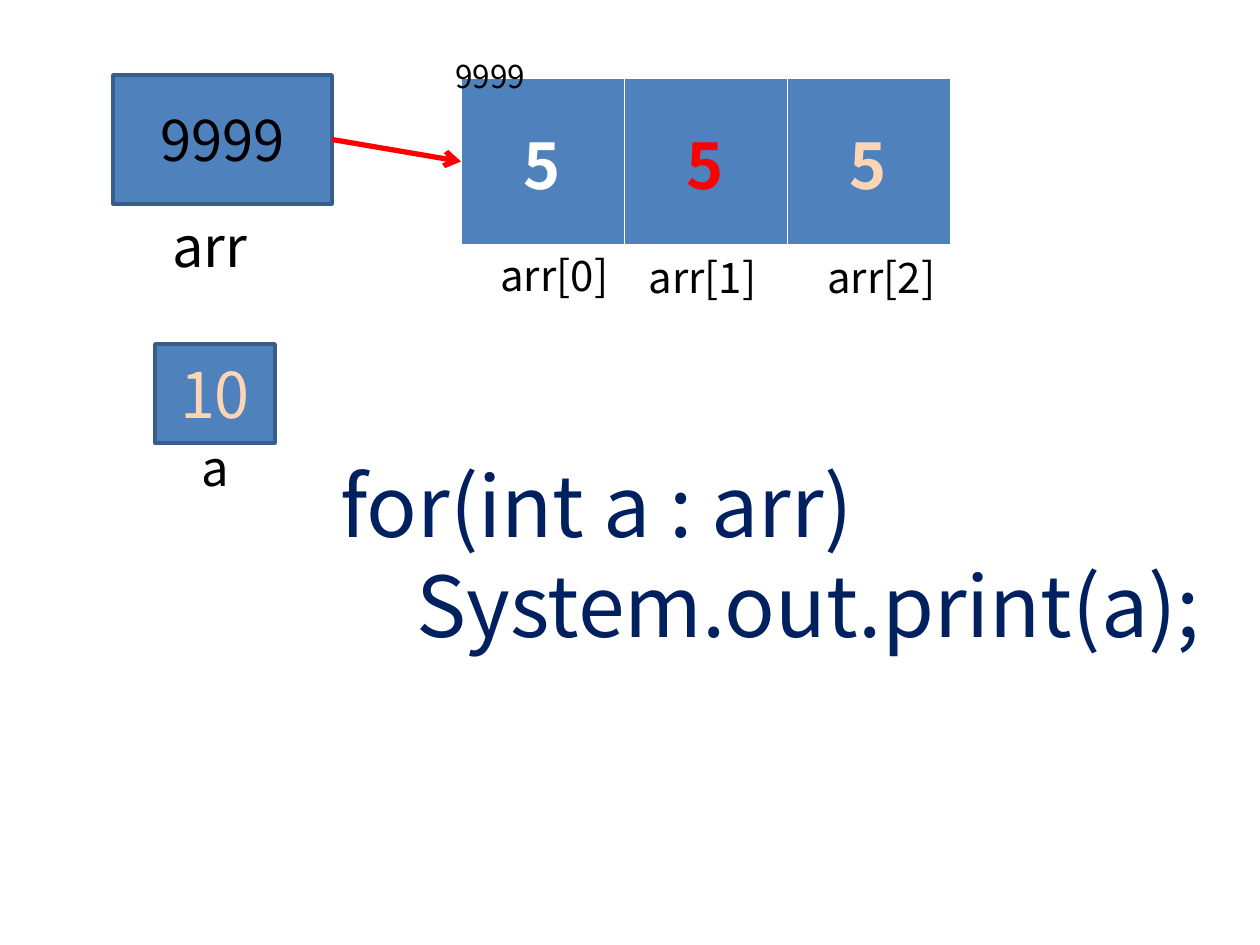
from lxml import etree
from pptx import Presentation
from pptx.dml.color import RGBColor
from pptx.enum.shapes import MSO_CONNECTOR as Line, MSO_SHAPE as Shape
from pptx.enum.text import MSO_ANCHOR as Anchor, PP_ALIGN as Align
from pptx.oxml import parse_xml
from pptx.oxml.ns import nsdecls, qn
from pptx.util import Pt

FONT = "Noto Sans CJK KR"
BLACK, WHITE, RED, PEACH, NAVY = "000000", "FFFFFF", "FF0000", "FCD5B5", "002060"
BLUE, EDGE = "4F81BD", "385D8A"
SCALE = 914400 / 126

BOXES = [
    ("9999", (113, 75, 219, 129), 32, BLACK),
    ("10", (155, 344, 120, 99), 36, PEACH),
]
CELLS = [("5", WHITE), ("5", RED), ("5", PEACH)]
GRID = (461, 78, 489, 167)
BORDERS = [("L", 0.45), ("R", 0.45), ("T", 0.45), ("B", 1.47)]
LABELS = [
    ("arr", (160, 205, 102, 81), 32, BLACK),
    ("9999", (443, 51, 97, 50), 18, BLACK),
    ("arr[0]", (488, 243, 135, 63), 24, BLACK),
    ("arr[1]", (636, 245, 135, 63), 24, BLACK),
    ("arr[2]", (815, 245, 135, 63), 24, BLACK),
    ("a", (189, 431, 53, 72), 28, BLACK),
    ("for(int a : arr)\nSystem.out.print(a);", (328, 447, 886, 214), 48, NAVY),
]
INDENT = 76


def px(n):
    return round(n * SCALE)


def place(at):
    return [px(n) for n in at]


def color(code):
    return RGBColor.from_string(code)


def paint(item, code):
    item.fill.solid()
    item.fill.fore_color.rgb = color(code)


def write(frame, text, size, code, align=Align.LEFT, bold=False):
    frame.text = text
    for para in frame.paragraphs:
        para.alignment = align
        for run in para.runs:
            font = run.font
            font.name, font.size, font.bold = FONT, Pt(size), bold
            font.color.rgb = color(code)


def add_box(slide, text, at, size, code):
    box = slide.shapes.add_shape(Shape.RECTANGLE, *place(at))
    box.shadow.inherit = False
    paint(box, BLUE)
    box.line.color.rgb = color(EDGE)
    box.line.width = Pt(2)
    box.text_frame.vertical_anchor = Anchor.MIDDLE
    write(box.text_frame, text, size, code, Align.CENTER)
    return box


def add_grid(slide):
    table = slide.shapes.add_table(1, len(CELLS), *place(GRID)).table
    for col, (text, code) in enumerate(CELLS):
        cell = table.cell(0, col)
        props = cell._tc.get_or_add_tcPr()
        for side, width in BORDERS:
            props.append(parse_xml(
                f'<a:ln{side} {nsdecls("a")} w="{Pt(width)}"><a:solidFill>'
                f'<a:srgbClr val="{WHITE}"/></a:solidFill></a:ln{side}>'))
        paint(cell, BLUE)
        cell.vertical_anchor = Anchor.MIDDLE
        write(cell.text_frame, text, 36, code, Align.CENTER, True)


def add_arrow(slide, box):
    left, top, _, high = GRID
    arrow = slide.shapes.add_connector(
        Line.STRAIGHT, 0, 0, px(left), px(top + high / 2))
    arrow.begin_connect(box, 3)
    arrow.line.color.rgb = color(RED)
    arrow.line.width = Pt(3)
    etree.SubElement(arrow.line._get_or_add_ln(), qn("a:tailEnd"), type="arrow")
    etree.SubElement(arrow._element.spPr, qn("a:effectLst"))


def add_label(slide, text, at, size, code):
    frame = slide.shapes.add_textbox(*place(at)).text_frame
    write(frame, text, size, code)
    for para in frame.paragraphs[1:]:
        para._p.get_or_add_pPr().set("marL", str(px(INDENT)))


def main():
    deck = Presentation()
    deck.slide_width, deck.slide_height = px(1260), px(945)
    slide = deck.slides.add_slide(deck.slide_layouts[6])
    boxes = [add_box(slide, *box) for box in BOXES]
    add_grid(slide)
    add_arrow(slide, boxes[0])
    for label in LABELS:
        add_label(slide, *label)
    deck.save("out.pptx")


if __name__ == "__main__":
    main()
